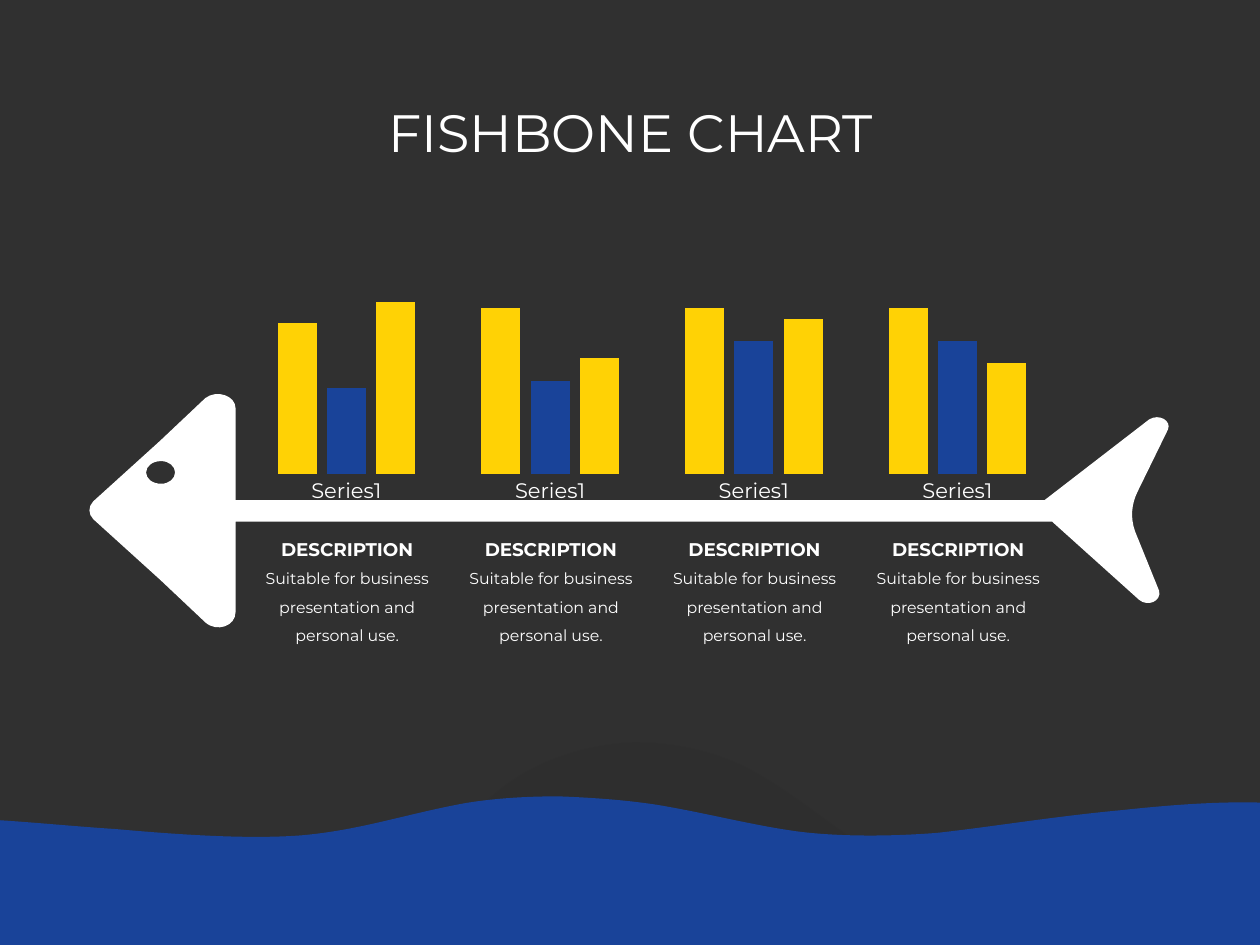
from collections import namedtuple
from dataclasses import dataclass

from lxml.etree import SubElement
from pptx import Presentation
from pptx.chart.data import CategoryChartData
from pptx.dml.color import RGBColor
from pptx.enum.chart import XL_CHART_TYPE, XL_TICK_MARK
from pptx.enum.text import MSO_ANCHOR, MSO_AUTO_SIZE, PP_ALIGN
from pptx.oxml import parse_xml
from pptx.oxml.ns import nsdecls, qn
from pptx.util import Inches, Pt

Box = namedtuple("Box", "left top width height")


@dataclass(frozen=True)
class Theme:
    font: str = "Montserrat"
    background: str = "303030"
    hill: str = "2E2E2E"
    blue: str = "194399"
    yellow: str = "FFD205"
    white: str = "FFFFFF"
    title_size: float = 30
    axis_size: float = 12
    chart_size: float = 10
    heading_size: float = 10.5
    body_size: float = 9


THEME = Theme()
WIDTH, HEIGHT = 10, 7.5
UNITS = 1000  # drawing units per inch

# Outlines run from the corner of their box, in inches:
# two numbers are a straight line's end, six are a Bezier curve.
HILL = [
    (5.03, 0), (5.35, 0, 5.69, .07, 5.98, .23), (6.58, .56, 7.11, 1.18, 7.85, 1.22),
    (8.32, 1.24, 8.74, .97, 9.2, .89), (9.48, .85, 9.73, .88, 9.93, .96),
    (10, .99), (10, 1.61), (0, 1.61), (0, 1.08), (.01, 1.07), (.09, 1.04, .18, 1.01, .26, .99),
    (.52, .93, .79, .86, 1.05, .9), (1.27, .92, 1.48, 1.02, 1.69, 1.08),
    (2.22, 1.24, 2.93, 1.29, 3.37, .94), (3.56, .79, 3.7, .6, 3.88, .45),
    (4.18, .17, 4.6, .02, 5.03, 0),
]
WAVE = [
    (0, 1.18), (10, 1.18), (10, .05), (9.66, .04, 9.27, .07, 8.9, .11),
    (8.36, .16, 7.89, .24, 7.44, .29), (7.06, .32, 6.66, .32, 6.34, .28),
    (5.97, .23, 5.64, .14, 5.23, .07), (4.98, .03, 4.7, .01, 4.43, 0),
    (4.15, 0, 3.88, .02, 3.66, .06), (3.19, .15, 2.85, .27, 2.39, .31),
    (1.99, .34, 1.48, .31, .92, .26), (.61, .24, .31, .21, 0, .19),
]
FISH_BODY = [
    (.04, .89), (.57, .41), (.93, .07), (1.02, 0, 1.17, .05, 1.17, .15),
    (1.17, .88), (7.59, .88), (8.42, .24), (8.5, .19, 8.6, .25, 8.57, .32),
    (8.33, .81), (8.28, .91, 8.27, 1.02, 8.31, 1.13), (8.5, 1.6),
    (8.52, 1.68, 8.41, 1.73, 8.34, 1.67), (7.65, 1.05), (1.17, 1.05), (1.17, 1.77),
    (1.17, 1.88, 1.02, 1.93, .93, 1.85), (.57, 1.51), (.04, 1.03),
    (0, .99, 0, .93, .04, .89),
]
FISH_EYE = [
    (.58, .75), (.64, .75, .69, .71, .69, .66), (.69, .61, .64, .57, .58, .57),
    (.51, .57, .46, .61, .46, .66), (.46, .71, .51, .75, .58, .75),
]

# Bar values and the top of the value axis for each rib
RIBS = [((88, 50, 100), 116), ((100, 56, 70), 120), ((100, 80, 93), 120), ((100, 80, 67), 120)]


def rgb(color):
    return RGBColor.from_string(color)


def drawing_points(segment):
    return [(x * UNITS, y * UNITS) for x, y in zip(segment[::2], segment[1::2])]


def add_outline(page, left, top, color, *outlines):
    """Draw the outlines as one shape, with true curves."""
    builder = page.shapes.build_freeform(
        *drawing_points(outlines[0][0])[0], scale=Inches(1) / UNITS)
    for number, outline in enumerate(outlines):
        if number:
            builder.move_to(*drawing_points(outline[0])[0])
        points = [point for segment in outline[1:] for point in drawing_points(segment)]
        builder.add_line_segments(points, close=True)
    shape = builder.convert_to_shape(Inches(left), Inches(top))
    bend_curves(shape, [segment for outline in outlines for segment in outline[1:]])
    shape.shadow.inherit = False
    shape.fill.solid()
    shape.fill.fore_color.rgb = rgb(color)
    shape.line.fill.background()
    return shape


def bend_curves(shape, segments):
    """Merge the three lines through each curve's points into one Bezier curve."""
    lines = iter(list(shape._element.iter(qn("a:lnTo"))))
    for segment in segments:
        group = [next(lines) for _ in segment[::2]]
        if len(group) == 1:
            continue
        curve = parse_xml(f'<a:cubicBezTo {nsdecls("a")}/>')
        group[0].addprevious(curve)
        for line in group:
            curve.append(line[0])
            line.getparent().remove(line)


def add_text(page, box, text, size, bold=None, spacing=None, wrap=True):
    shape = page.shapes.add_textbox(*map(Inches, box))
    frame = shape.text_frame
    frame.word_wrap = wrap
    frame.auto_size = MSO_AUTO_SIZE.SHAPE_TO_FIT_TEXT
    frame.vertical_anchor = MSO_ANCHOR.MIDDLE
    para = frame.paragraphs[0]
    para.text = text
    para.alignment = PP_ALIGN.CENTER
    para.line_spacing = spacing
    style_font(para.font, size)
    para.font.bold = bold
    return frame


def style_font(font, size):
    font.name = THEME.font
    font.size = Pt(size)
    font.color.rgb = rgb(THEME.white)


def add_background(page):
    page.background.fill.solid()
    page.background.fill.fore_color.rgb = rgb(THEME.background)
    hill = add_outline(page, 0, HEIGHT - 1.61, THEME.hill, HILL)
    color = hill._element.spPr.find(".//" + qn("a:srgbClr"))
    SubElement(color, qn("a:alpha")).set("val", "50000")
    add_outline(page, 0, HEIGHT - 1.18, THEME.blue, WAVE)


def add_title(page, box):
    frame = add_text(page, box, "FISHBONE CHART", THEME.title_size, spacing=0.9)
    frame.margin_top = Inches(0.16)


def add_bars(page, box, values, axis_top):
    data = CategoryChartData()
    data.categories = [""]
    for number, value in enumerate(values, 1):
        data.add_series(f"Series {number}", [value])
    chart = page.shapes.add_chart(
        XL_CHART_TYPE.COLUMN_CLUSTERED, *map(Inches, box), data).chart
    chart.has_legend = False
    chart.has_title = False
    style_font(chart.font, THEME.chart_size)

    plot = chart.plots[0]
    plot.gap_width, plot.overlap = 219, -27
    plot.vary_by_categories = False
    for series, color in zip(plot.series, (THEME.yellow, THEME.blue, THEME.yellow)):
        series.format.fill.solid()
        series.format.fill.fore_color.rgb = rgb(color)

    chart.value_axis.visible = False
    chart.value_axis.has_major_gridlines = False
    chart.value_axis.minimum_scale = 0
    chart.value_axis.maximum_scale = axis_top
    axis = chart.category_axis
    axis.major_tick_mark = XL_TICK_MARK.NONE
    axis.format.line.fill.background()
    style_font(axis.tick_labels.font, THEME.axis_size)
    clear_category_names(chart)
    set_plot_box(chart, Box(0.02, 0, 0.96, 0.85))


def clear_category_names(chart):
    """Leave the one category unnamed, so that its default label is drawn."""
    for names in chart._chartSpace.iter(qn("c:cat")):
        for point in list(names.iter(qn("c:pt"))):
            point.getparent().remove(point)


def set_plot_box(chart, shares):
    """Fix the inner plot area at the given shares of the chart's size."""
    area = chart._chartSpace.find(".//" + qn("c:plotArea"))
    for layout in area.findall(qn("c:layout")):
        area.remove(layout)
    sizes = "".join(f'<c:{tag} val="{share}"/>' for tag, share in zip("xywh", shares))
    area.insert(0, parse_xml(
        f'<c:layout {nsdecls("c")}><c:manualLayout><c:layoutTarget val="inner"/>'
        f'<c:xMode val="edge"/><c:yMode val="edge"/>{sizes}</c:manualLayout></c:layout>'))


def add_rib(page, box, values, axis_top):
    """Place a bar chart above the spine and its description below."""
    add_bars(page, Box(box.left, box.top, box.width, 1.86), values, axis_top)
    middle = box.left + box.width / 2
    add_text(page, Box(middle - 0.64, box.top + 2.04, 1.29, 0.28),
             "DESCRIPTION", THEME.heading_size, bold=True, wrap=False)
    add_text(page, Box(middle - 0.77, box.top + 2.22, 1.55, 0.76),
             "Suitable for business presentation and personal use.",
             THEME.body_size, spacing=1.5)


def add_fishbone(page, box):
    add_outline(page, box.left, box.top + 0.91, THEME.white, FISH_BODY, FISH_EYE)
    pitch = 4.85 / (len(RIBS) - 1)
    for column, (values, axis_top) in enumerate(RIBS):
        rib = Box(box.left + 1.13 + column * pitch, box.top, 1.84, box.height)
        add_rib(page, rib, values, axis_top)


def main():
    deck = Presentation()
    deck.slide_width, deck.slide_height = Inches(WIDTH), Inches(HEIGHT)
    page = deck.slides.add_slide(deck.slide_layouts[6])
    add_background(page)
    add_title(page, Box(2, 0.69, 6.01, 0.66))
    add_fishbone(page, Box(0.7, 2.18, 8.61, 2.98))
    deck.save("out.pptx")


if __name__ == "__main__":
    main()
